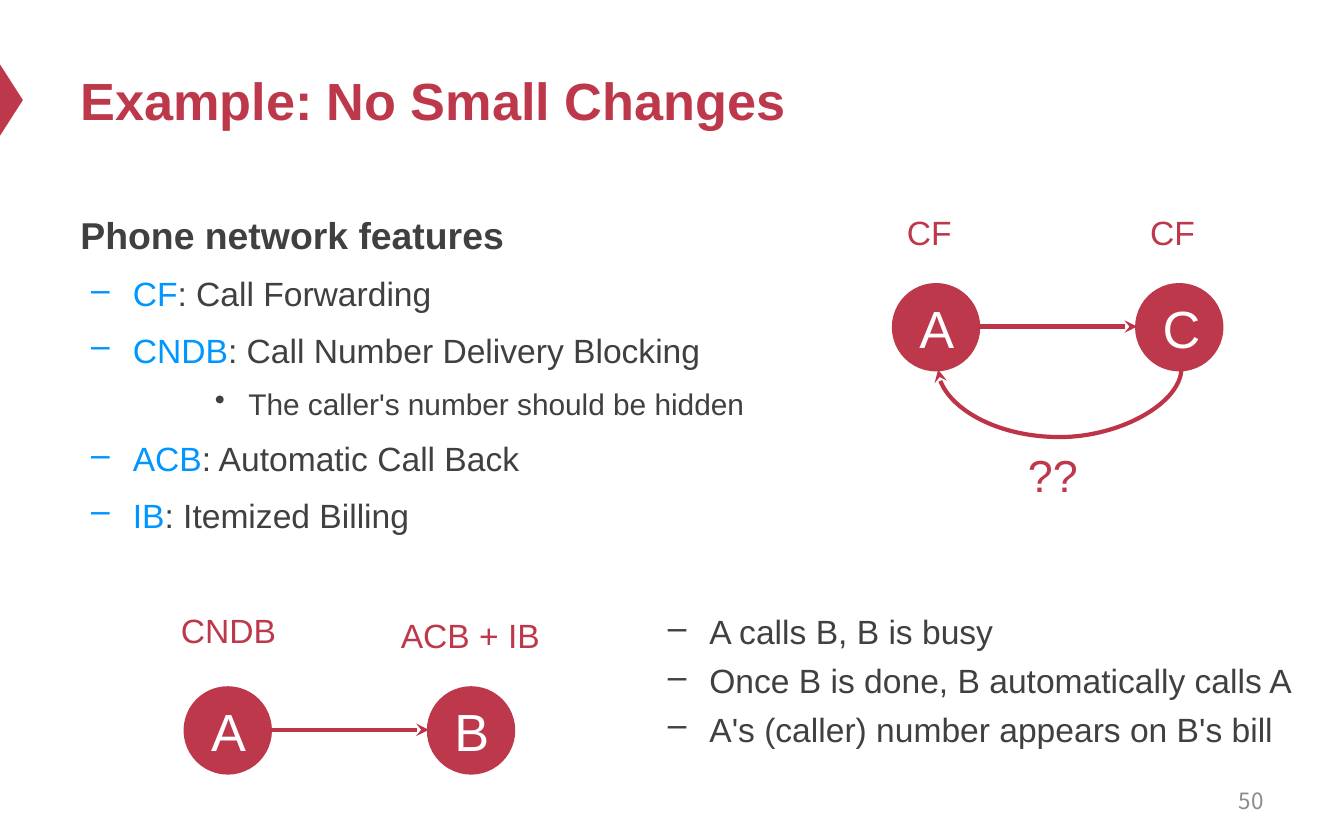
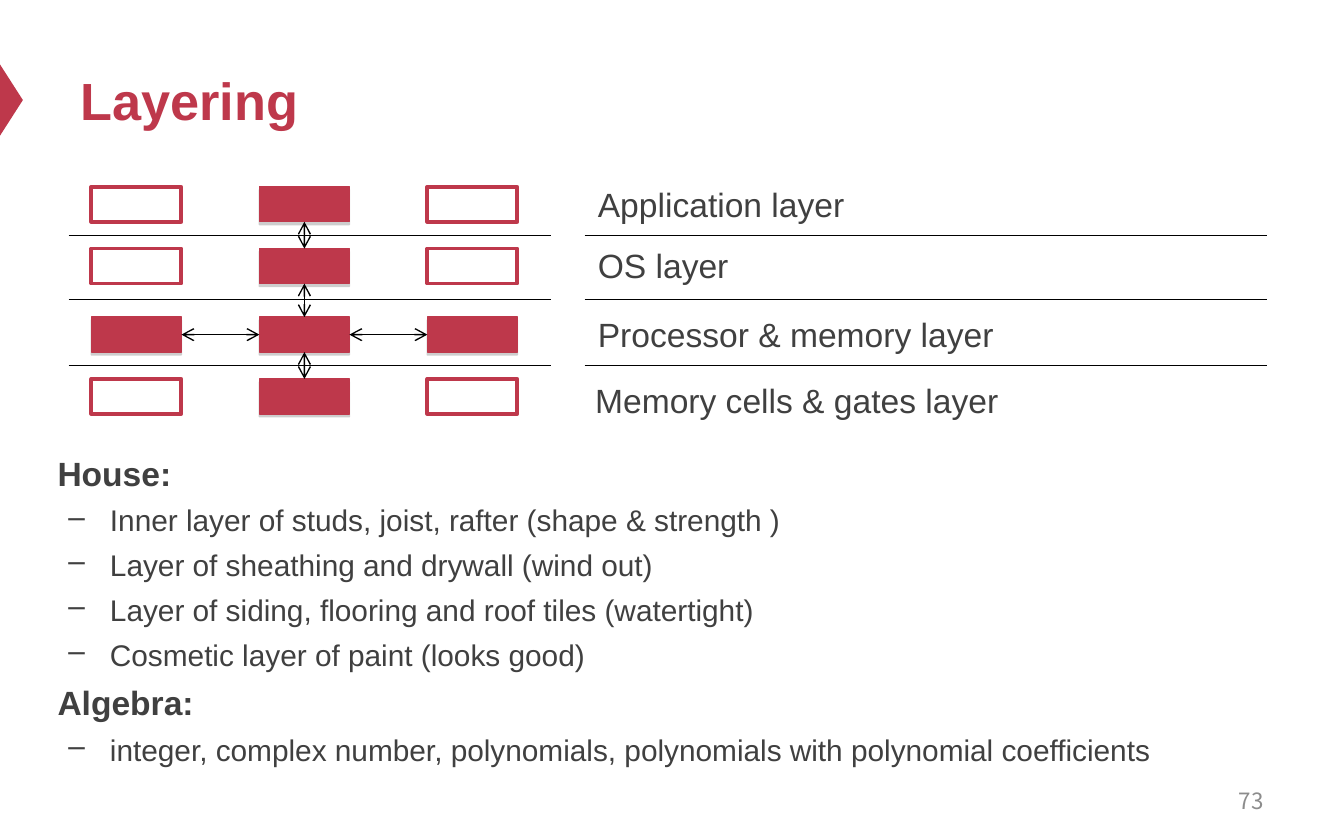
from lxml import etree
from pptx import Presentation
from pptx.dml.color import RGBColor
from pptx.enum.shapes import MSO_CONNECTOR as CONN, MSO_SHAPE as SHAPE
from pptx.enum.text import MSO_ANCHOR as ANCHOR, PP_ALIGN as ALIGN
from pptx.oxml.ns import qn
from pptx.util import Inches, Pt

COLORS = {
    "red": "BE384B", "arrow": "BD3347", "text": "404040", "blue": "0096FF",
    "white": "FFFFFF", "black": "000000", "gray": "8C8C8C", "shadow": "808080",
}
BODY = dict(spacing=1.2)
DASH = dict(bullet="–", margin=0.39, hang=0.31)
DOT = dict(bullet="•", margin=1.25, hang=0.25)


def rgb(name):
    return RGBColor.from_string(COLORS[name])


def sub(parent, tag, **attrs):
    """Append a child element with the given attributes."""
    child = etree.SubElement(parent, qn(tag))
    for key, value in attrs.items():
        child.set(key, str(value))
    return child


def write(p, text, size=18, color="text", bold=False, font="Arial", lead="",
          lead_color="blue", align=ALIGN.LEFT, spacing=None, before=0,
          bullet=None, margin=0, hang=0):
    """Fill a paragraph; lead is an opening run in its own colour."""
    if bullet:
        pPr = p._p.get_or_add_pPr()
        pPr.set("marL", str(Inches(margin)))
        pPr.set("indent", str(-Inches(hang)))
        sub(pPr, "a:buChar", char=bullet)
    p.alignment = align
    p.space_before = Pt(before)
    if spacing:
        p.line_spacing = spacing
    for part, part_color in ((lead, lead_color), (text, color)):
        if part:
            r = p.add_run()
            r.text = part
            r.font.size = Pt(size)
            r.font.name = font
            r.font.bold = bold
            r.font.color.rgb = rgb(part_color)


class Deck:
    def __init__(self):
        self.prs = Presentation()
        self.prs.slide_width = Inches(10)
        self.prs.slide_height = Inches(6.25)
        self.slide = None

    def new_slide(self, title, number):
        self.slide = self.prs.slides.add_slide(self.prs.slide_layouts[6])
        marker = self.shape(SHAPE.ISOSCELES_TRIANGLE, -0.18, 0.66, 0.53, 0.17)
        marker.rotation = 90
        self.text(title, 0.5, 0.25, 9, 0.98, anchor=ANCHOR.MIDDLE,
                  size=28, color="red", bold=True)
        self.text(str(number), 7.17, 5.79, 2.33, 0.33, anchor=ANCHOR.MIDDLE,
                  size=12, color="gray", font="Noto Sans CJK SC", align=ALIGN.RIGHT)

    def shape(self, kind, x, y, w, h, fill="red", line=None, width=0.75, shadow=False):
        sp = self.slide.shapes.add_shape(kind, Inches(x), Inches(y), Inches(w), Inches(h))
        sp.fill.solid()
        sp.fill.fore_color.rgb = rgb(fill)
        if line:
            sp.line.color.rgb = rgb(line)
            sp.line.width = Pt(width)
        else:
            sp.line.fill.background()
        sp.shadow.inherit = False
        if shadow:
            effects = sp._element.spPr.find(qn("a:effectLst"))
            outer = sub(effects, "a:outerShdw", blurRad=0, dist=Pt(1.6), dir=5400000,
                        rotWithShape=0)
            color = sub(outer, "a:srgbClr", val=COLORS["shadow"])
            sub(color, "a:alpha", val=38000)
        return sp

    def box(self, x, y, w, h, anchor=ANCHOR.TOP, wrap=True):
        sp = self.slide.shapes.add_textbox(Inches(x), Inches(y), Inches(w), Inches(h))
        tf = sp.text_frame
        tf.word_wrap = wrap
        tf.vertical_anchor = anchor
        return tf

    def text(self, text, x, y, w, h, anchor=ANCHOR.TOP, wrap=True, **fmt):
        write(self.box(x, y, w, h, anchor, wrap).paragraphs[0], text, **fmt)

    def paragraphs(self, items, x, y, w, h):
        """Write (text, format) pairs, one paragraph each."""
        tf = self.box(x, y, w, h)
        for i, (text, fmt) in enumerate(items):
            p = tf.add_paragraph() if i else tf.paragraphs[0]
            write(p, text, **{**fmt, "before": fmt.get("before", 0) if i else 0})

    def label(self, sp, text, **fmt):
        tf = sp.text_frame
        tf.word_wrap = True
        tf.vertical_anchor = ANCHOR.MIDDLE
        write(tf.paragraphs[0], text, **fmt)

    def node(self, letter, x, y):
        sp = self.shape(SHAPE.OVAL, x, y, 0.63, 0.63, line="red", width=2)
        self.label(sp, letter, size=28, color="white", align=ALIGN.CENTER)

    def line(self, x1, y1, x2, y2, color="black", width=0.75, head=None, tail=None,
             kind=CONN.STRAIGHT):
        cn = self.slide.shapes.add_connector(
            kind, Inches(x1), Inches(y1), Inches(x2), Inches(y2))
        cn.line.color.rgb = rgb(color)
        cn.line.width = Pt(width)
        spPr = cn._element.spPr
        ln = spPr.find(qn("a:ln"))
        for tag, end in (("a:headEnd", head), ("a:tailEnd", tail)):
            if end:
                sub(ln, tag, type=end)
        sub(spPr, "a:effectLst")
        return cn

    def call(self, x1, y1, x2, y2, **kw):
        return self.line(x1, y1, x2, y2, color="arrow", width=2.25, tail="stealth", **kw)

    def link(self, first, second, start, end):
        """Join two rectangles with a double-headed arrow."""
        cn = self.line(0, 0, 1, 1, head="arrow", tail="arrow")
        cn.begin_connect(first, start)
        cn.end_connect(second, end)


def small_changes_slide(deck):
    deck.new_slide("Example: No Small Changes", 50)
    feature = dict(BODY, **DASH, before=4.5)
    deck.paragraphs([
        ("Phone network features", dict(BODY, size=20, bold=True)),
        (": Call Forwarding", dict(feature, lead="CF")),
        (": Call Number Delivery Blocking", dict(feature, lead="CNDB")),
        ("The caller's number should be hidden", dict(BODY, **DOT, size=16, before=4.5)),
        (": Automatic Call Back", dict(feature, lead="ACB")),
        (": Itemized Billing", dict(feature, lead="IB")),
    ], 0.5, 1.46, 9, 2.74)

    for x, y, letters in ((6.65, 2.12, "AC"), (1.38, 5.12, "AB")):
        for i, letter in enumerate(letters):
            deck.node(letter, x + 1.81 * i, y)
        deck.call(x + 0.63, y + 0.31, x + 1.81, y + 0.31)

    # Rotated a quarter turn, the curve bends below both nodes
    back = deck.call(7.88, 1.84, 7.89, 3.65, kind=CONN.CURVE)
    spPr = back._element.spPr
    spPr.find(qn("a:xfrm")).set("rot", "5400000")
    guides = spPr.find(qn("a:prstGeom")).find(qn("a:avLst"))
    sub(guides, "a:gd", name="adj1", fmla="val 5200000")

    deck.text("??", 7.55, 3.28, 0.58, 0.5, wrap=False, size=24, color="red")
    for x in (6.65, 8.46):
        deck.text("CF", x, 1.53, 0.64, 0.4, color="red")
    deck.text("CNDB", 1.1, 4.49, 1.2, 0.4, color="red", align=ALIGN.CENTER)
    deck.text("ACB + IB", 2.71, 4.53, 1.58, 0.4, color="red", align=ALIGN.CENTER)

    step = dict(DASH, margin=0.81, before=4.5)
    deck.paragraphs([
        ("A calls B, B is busy", step),
        ("Once B is done, B automatically calls A", step),
        ("A's (caller) number appears on B's bill", step),
    ], 4.37, 4.5, 5.49, 1.73)


def layering_slide(deck):
    deck.new_slide("Layering", 73)
    for y in (1.75, 2.23, 2.72):
        deck.line(0.51, y, 4.1, y)
        deck.line(4.35, y, 9.43, y)

    layers = [
        ("Application layer", 1.39, 3.58, False),
        ("OS layer", 1.85, 3.25, False),
        ("Processor & memory layer", 2.36, 4.58, True),
        ("Memory cells & gates layer", 2.82, 4.92, False),
    ]
    above = None
    for name, y, width, full in layers:
        row = []
        for col in range(3):
            solid = full or col == 1
            row.append(deck.shape(
                SHAPE.RECTANGLE, 0.68 + 1.25 * col, y, 0.67, 0.26,
                fill="red" if solid else "white", line="red",
                width=0.75 if solid else 2, shadow=solid))
        if above:
            deck.link(above, row[1], 2, 0)
        if full:
            for left, right in zip(row, row[1:]):
                deck.link(left, right, 3, 1)
        above = row[1]
        last = name == layers[-1][0]
        sp = deck.shape(SHAPE.RECTANGLE, 4.33 if last else 4.35, y, width,
                        0.31 if last else 0.25, fill="white")
        deck.label(sp, name)

    heading = dict(BODY, bold=True, before=1)
    item = dict(BODY, **DASH, size=16, before=1)
    deck.paragraphs([
        ("House:", heading),
        ("Inner layer of studs, joist, rafter (shape & strength )", item),
        ("Layer of sheathing and drywall (wind out)", item),
        ("Layer of siding, flooring and roof tiles (watertight)", item),
        ("Cosmetic layer of paint (looks good)", item),
        ("Algebra:", heading),
        ("integer, complex number, polynomials, polynomials with polynomial coefficients",
         item),
    ], 0.33, 3.26, 9.67, 2.85)


def main():
    deck = Deck()
    small_changes_slide(deck)
    layering_slide(deck)
    deck.prs.save("out.pptx")


if __name__ == "__main__":
    main()
